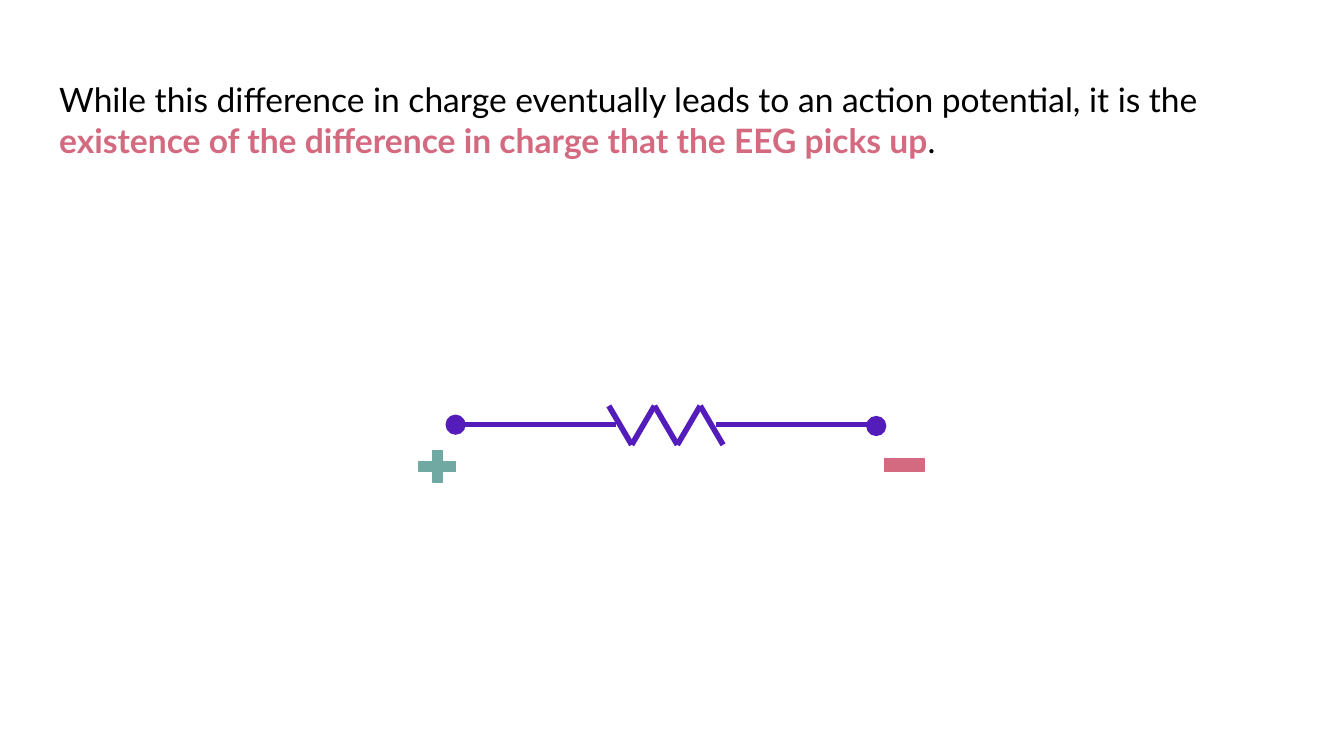
from itertools import pairwise

from lxml.etree import SubElement
from pptx import Presentation
from pptx.dml.color import RGBColor
from pptx.enum.shapes import MSO_CONNECTOR, MSO_SHAPE
from pptx.enum.text import MSO_ANCHOR, MSO_AUTO_SIZE, PP_ALIGN
from pptx.oxml.ns import qn
from pptx.util import Inches, Pt

BLACK = RGBColor(0x00, 0x00, 0x00)
PURPLE = RGBColor(0x53, 0x1C, 0xBB)
TEAL = RGBColor(0x70, 0xA9, 0xA1)
ROSE = RGBColor(0xD4, 0x6A, 0x80)


class ChargeSlide:
    font_name = "Lato"
    font_size = Pt(18)
    wire_width = Pt(3)
    outline_width = Pt(0.75)

    def __init__(self, presentation):
        self.slide = presentation.slides.add_slide(presentation.slide_layouts[5])

    def title(self, left, top, width, height, parts):
        heading = self.slide.shapes.title
        heading.left, heading.top = Inches(left), Inches(top)
        heading.width, heading.height = Inches(width), Inches(height)
        frame = heading.text_frame
        frame.word_wrap = True
        frame.auto_size = MSO_AUTO_SIZE.NONE
        frame.vertical_anchor = MSO_ANCHOR.TOP
        frame.margin_left = frame.margin_right = Inches(0.1)
        frame.margin_top = frame.margin_bottom = Inches(0.1)
        sentence = frame.paragraphs[0]
        sentence.alignment = PP_ALIGN.LEFT
        sentence.line_spacing = 1.0
        for wording, color, bold in parts:
            run = sentence.add_run()
            run.text = wording
            run.font.name = self.font_name
            run.font.size = self.font_size
            run.font.bold = bold
            run.font.color.rgb = color

    def wire(self, start, end):
        segment = self.slide.shapes.add_connector(
            MSO_CONNECTOR.STRAIGHT, *map(Inches, (*start, *end)))
        segment.line.color.rgb = PURPLE
        segment.line.width = self.wire_width
        SubElement(segment._element.spPr, qn("a:effectLst"))

    def symbol(self, preset, left, top, width, height, color, thickness=None):
        mark = self.slide.shapes.add_shape(
            preset, *map(Inches, (left, top, width, height)))
        mark.shadow.inherit = False
        mark.fill.solid()
        mark.fill.fore_color.rgb = color
        mark.line.color.rgb = color
        mark.line.width = self.outline_width
        if thickness is not None:
            mark.adjustments[0] = thickness


def main():
    presentation = Presentation()
    presentation.slide_width = Inches(10)
    presentation.slide_height = Inches(10) * 9 // 16
    dipole = ChargeSlide(presentation)

    dipole.title(0.34, 0.49, 9.32, 0.63, [
        ("While this difference in charge eventually leads to an action potential, it is the ",
         BLACK, False),
        ("existence of the difference in charge that the EEG picks up", ROSE, True),
        (".", BLACK, False),
    ])

    wire_y = 3.16
    for wire_start, wire_end in ((3.46, 4.58), (5.33, 6.45)):
        dipole.wire((wire_start, wire_y), (wire_end, wire_y))

    zigzag = [(4.53 + 0.17 * step, 3.31 if step % 2 else 3.02) for step in range(6)]
    for bend, next_bend in pairwise(zigzag):
        dipole.wire(bend, next_bend)

    for pole_left, pole_top in ((3.32, 3.09), (6.45, 3.1)):
        dipole.symbol(MSO_SHAPE.OVAL, pole_left, pole_top, 0.14, 0.14, PURPLE)
    dipole.symbol(MSO_SHAPE.MATH_PLUS, 3.07, 3.31, 0.37, 0.32, TEAL, 0.235)
    dipole.symbol(MSO_SHAPE.MATH_MINUS, 6.53, 3.26, 0.4, 0.4, ROSE, 0.235)

    presentation.save("out.pptx")


if __name__ == "__main__":
    main()
